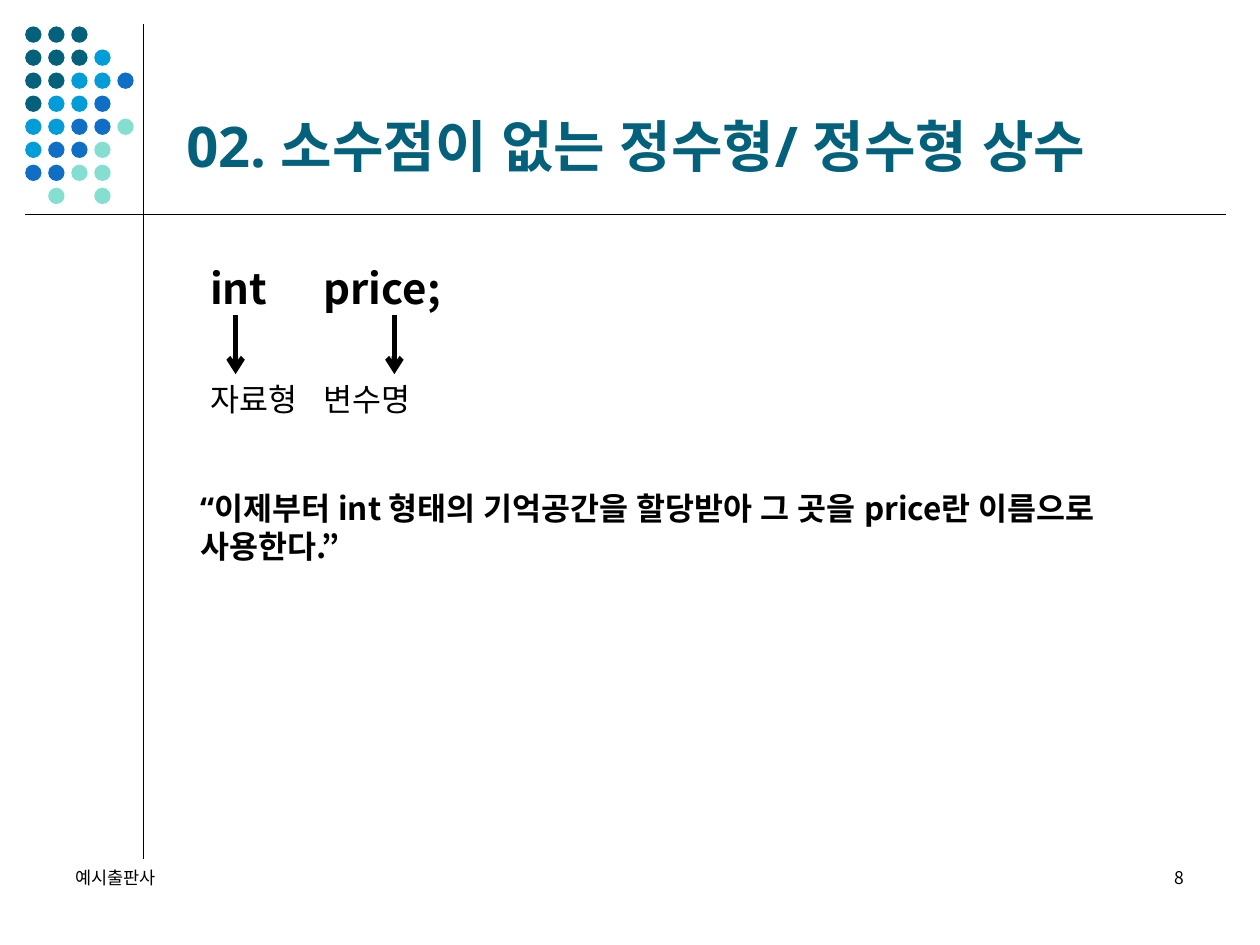
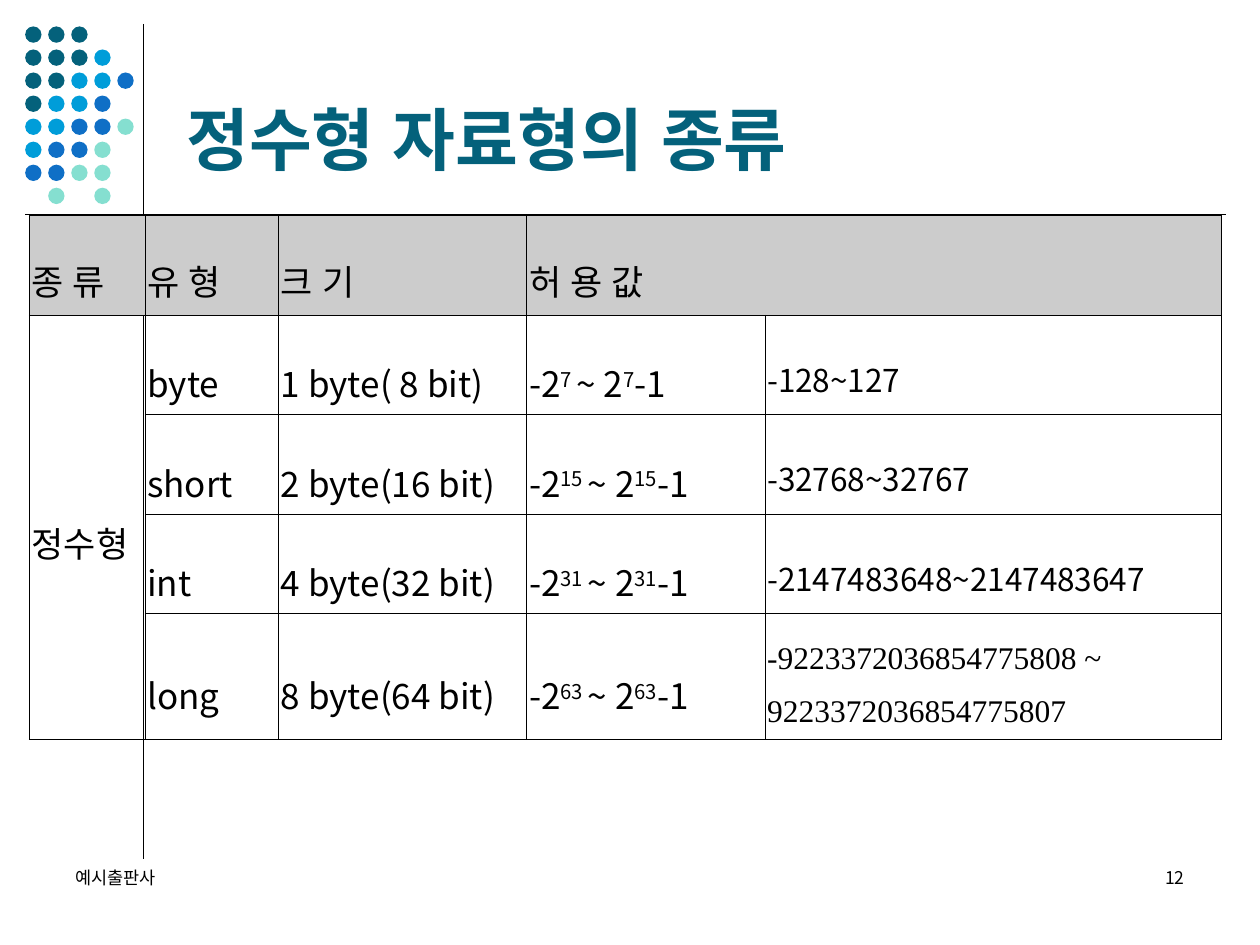
from lxml import etree
from pptx import Presentation
from pptx import util as u
from pptx.dml.color import RGBColor
from pptx.enum import shapes, text
from pptx.oxml.ns import qn

TEAL = RGBColor(0x04, 0x61, 0x7B)
SKY = RGBColor(0x00, 0x9D, 0xD9)
BLUE = RGBColor(0x0F, 0x6F, 0xC6)
MINT = RGBColor(0x85, 0xDF, 0xD0)
BLACK = RGBColor(0, 0, 0)
GRAY = RGBColor(0xCC, 0xCC, 0xCC)
KOREAN = "Noto Sans CJK KR"
LATIN = "Open Sans"
SERIF = "Times New Roman"
LEFT, RIGHT = text.PP_ALIGN.LEFT, text.PP_ALIGN.RIGHT
TOP, MIDDLE, BOTTOM = (text.MSO_ANCHOR.TOP, text.MSO_ANCHOR.MIDDLE,
                       text.MSO_ANCHOR.BOTTOM)


def style(para, size, face=KOREAN, color=BLACK, bold=False):
    font = para.font
    font.size, font.name, font.bold = u.Pt(size), face, bold
    font.color.rgb = color
    latin = para._p.pPr.find(qn("a:defRPr")).find(qn("a:latin"))
    east = etree.Element(qn("a:ea"), typeface=LATIN)
    latin.addnext(east)


def label(slide, box, words, size, face=KOREAN, color=BLACK, bold=False,
          align=LEFT, anchor=TOP, tab=None):
    frame = slide.shapes.add_textbox(*map(u.Inches, box)).text_frame
    frame.word_wrap = True
    frame.vertical_anchor = anchor
    para = frame.paragraphs[0]
    para.alignment = align
    para.add_run().text = words
    style(para, size, face, color, bold)
    if tab:
        stops = etree.Element(qn("a:tabLst"))
        etree.SubElement(stops, qn("a:tab"), pos=str(u.Inches(tab)), algn="l")
        para._p.pPr.find(qn("a:defRPr")).addprevious(stops)


deck = Presentation()
deck.slide_width, deck.slide_height = u.Inches(10), u.Inches(7.5)

# Shared look: dot pattern, rules, title, footer
HUES = {"T": TEAL, "S": SKY, "B": BLUE, "M": MINT}
DOTS = ["TTT", "TTTS", "TTSSB", "TSSB", "SSBBM", "SBBM", "BBMM", " M M"]
STEP, DOT = 1.28 / 7, 0.13
RULES = [(1.14, 0.19, 1.14, 6.82, 0.75), (0.2, 1.7, 9.73, 1.7, 0.75)]
ARROWS = [(x, 2.5, x, 2.97, 3) for x in (1.87, 3.13)]
PAGES = [("02. 소수점이 없는 정수형/ 정수형 상수", 32, "8", ARROWS),
         ("정수형 자료형의 종류", 39, "12", [])]

for title, size, number, arrows in PAGES:
    slide = deck.slides.add_slide(deck.slide_layouts[6])
    group = slide.shapes.add_group_shape()
    for row, line in enumerate(DOTS):
        for col, key in enumerate(line):
            if key == " ":
                continue
            dot = group.shapes.add_shape(
                shapes.MSO_SHAPE.OVAL, u.Inches(0.2 + col * STEP),
                u.Inches(0.21 + row * STEP), u.Inches(DOT), u.Inches(DOT))
            dot.shadow.inherit = False
            dot.fill.solid()
            dot.fill.fore_color.rgb = HUES[key]
            dot.line.fill.background()
    for *ends, weight in RULES + arrows:
        rule = slide.shapes.add_connector(
            shapes.MSO_CONNECTOR.STRAIGHT, *map(u.Inches, ends))
        rule.line.color.rgb = BLACK
        rule.line.width = u.Pt(weight)
        if weight == 3:
            etree.SubElement(rule.line._get_or_add_ln(), qn("a:tailEnd"),
                             type="arrow")
        etree.SubElement(rule._element.spPr, qn("a:effectLst"))
    label(slide, (1.38, 0.21, 8.25, 1.26), title, size, LATIN, TEAL, True,
          anchor=BOTTOM)
    label(slide, (0.5, 6.83, 2.33, 0.5), "예시출판사", 10)
    label(slide, (7.17, 6.83, 2.33, 0.5), number, 10, align=RIGHT)

# Slide 1: parts of a declaration
first, second = deck.slides
label(first, (1.57, 2.03, 4.06, 0.5), "int\tprice;", 24, bold=True,
      anchor=MIDDLE, tab=0.9)
label(first, (1.57, 2.97, 3.36, 0.4), "자료형\t변수명", 18, tab=0.9)
label(first, (1.49, 3.83, 8.05, 0.7),
      "“이제부터 int 형태의 기억공간을 할당받아 그 곳을 price란 이름으로 사용한다.”",
      18, bold=True)

# Slide 2: integer types
TYPES = [("byte", "1 byte( 8 bit)", 7, "-128~127"),
         ("short", "2 byte(16 bit)", 15, "-32768~32767"),
         ("int", "4 byte(32 bit)", 31, "-2147483648~2147483647"),
         ("long", "8 byte(64 bit)", 63,
          "-9223372036854775808 ~\n9223372036854775807")]
WIDTHS = [0.92, 1.06, 1.97, 1.89, 3.62]
HEIGHTS = [0.79, 0.79, 0.79, 0.79, 0.93]
rows = [["종 류", "유 형", "크 기", "허 용 값", ""]]
for name, space, power, span in TYPES:
    # Every second piece between carets is raised
    rows.append(["", name, space, f"-2^{power} ^~ 2^{power}^-1", span])
rows[1][0] = "정수형"

table = second.shapes.add_table(
    5, 5, u.Inches(0.23), u.Inches(1.71), u.Inches(sum(WIDTHS)),
    u.Inches(sum(HEIGHTS))).table
table.first_row = table.horz_banding = False
for col, width in zip(table.columns, WIDTHS):
    col.width = u.Inches(width)
for row, height in zip(table.rows, HEIGHTS):
    row.height = u.Inches(height)

for r, row in enumerate(rows):
    for c, words in enumerate(row):
        cell = table.cell(r, c)
        cell.margin_left = cell.margin_right = u.Inches(0.02)
        cell.vertical_anchor = MIDDLE
        for side in ("lnL", "lnR", "lnT", "lnB"):
            edge = etree.SubElement(cell._tc.tcPr, qn("a:" + side),
                                    w=str(u.Pt(0.11)))
            fill = etree.SubElement(edge, qn("a:solidFill"))
            etree.SubElement(fill, qn("a:srgbClr"), val=str(BLACK))
        if r == 0:
            cell.fill.solid()
            cell.fill.fore_color.rgb = GRAY
        else:
            cell.fill.background()
        size, face, space = 20, KOREAN, 1.7
        if c == 4 and r > 0:
            size, space = 18, 1.6
        if c == 4 and r == 4:
            face, space = SERIF, 1.5
        for i, line in enumerate(words.split("\n")):
            frame = cell.text_frame
            para = frame.add_paragraph() if i else frame.paragraphs[0]
            para.alignment = text.PP_ALIGN.JUSTIFY
            para.line_spacing = space
            style(para, size, face)
            for k, piece in enumerate(line.split("^")):
                if not piece:
                    continue
                run = para.add_run()
                run.text = piece
                if k % 2:
                    run.font._element.set("baseline", "30000")

table.cell(0, 3).merge(table.cell(0, 4))
table.cell(1, 0).merge(table.cell(4, 0))

deck.save("out.pptx")
